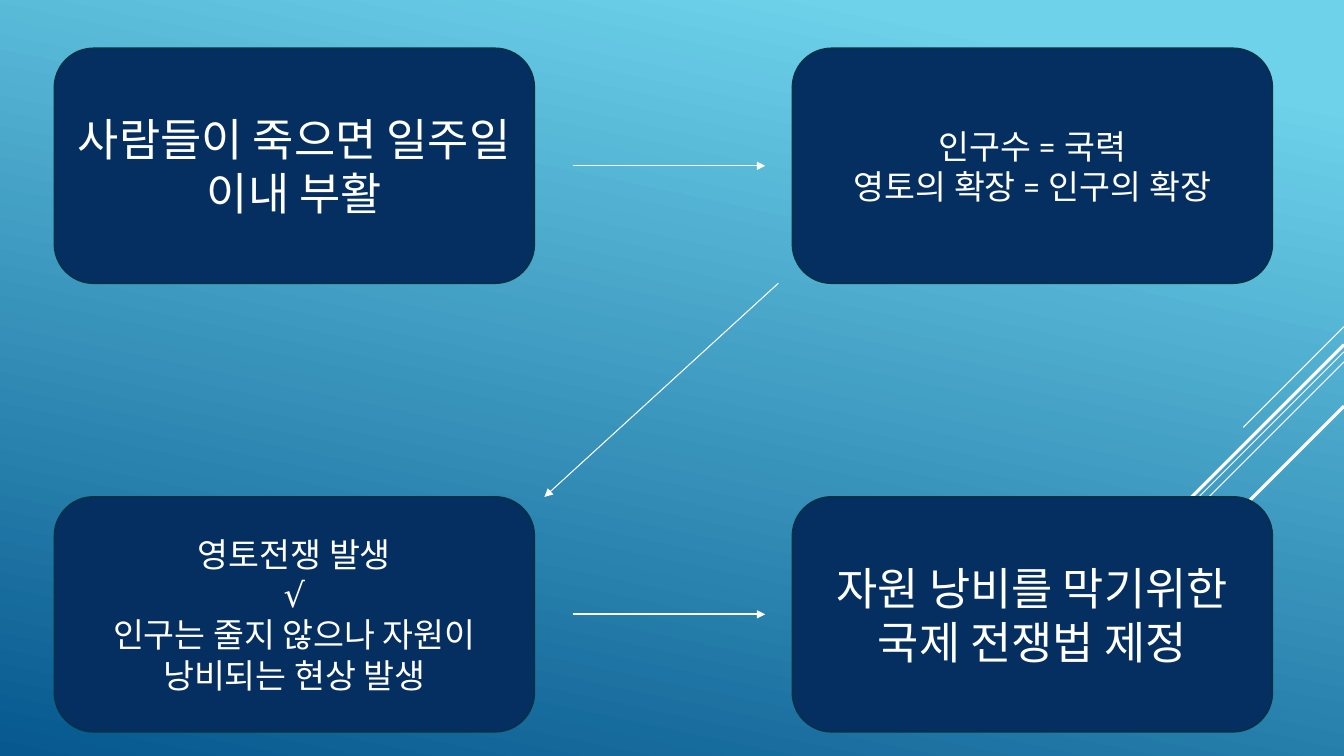
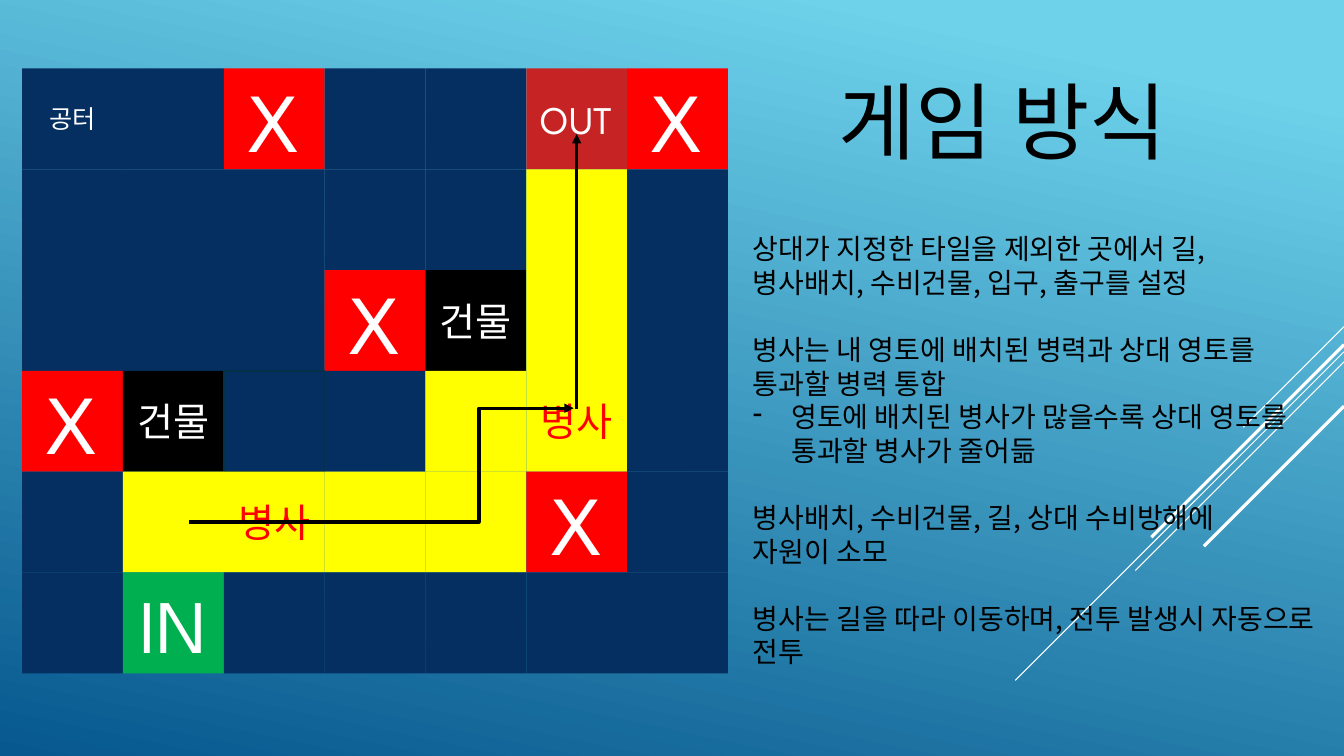
from lxml.etree import SubElement
from pptx import Presentation
from pptx.dml.color import RGBColor
from pptx.enum.shapes import MSO_CONNECTOR as Link, MSO_SHAPE as Shape
from pptx.enum.text import MSO_ANCHOR as Anchor, PP_ALIGN as Align
from pptx.oxml.ns import qn
from pptx.util import Inches, Pt

NAVY, EDGE, WHITE, BLACK = "052F61", "043148", "FFFFFF", "000000"
RED, YELLOW = "FF0000", "FFFF00"
DISPLAY, KOREAN = "League Spartan", "Noto Sans CJK KR"

TILES = {
    ".": (NAVY, None, 18, WHITE),
    "e": (NAVY, "공터", 18, WHITE),
    "x": (RED, "X", 60, WHITE),
    "b": (BLACK, "건물", 28, WHITE),
    "r": (YELLOW, None, 18, WHITE),
    "s": (YELLOW, "병사", 28, RED),
    "o": ("C62324", "OUT", 28, WHITE),
    "i": ("00B050", "IN", 54, WHITE),
}
BOARD = ["e.x..ox", ".....r.", "...xbr.", "xb..rs.", ".rsrrx.", ".i....."]
OUTLINED_TILE = (3, 2)

CARDS = [
    (32, ["사람들이 죽으면 일주일 이내 부활"]),
    (24, ["인구수 = 국력", "영토의 확장 = 인구의 확장"]),
    (24, ["영토전쟁 발생", "√", "인구는 줄지 않으나 자원이 낭비되는 현상 발생"]),
    (32, ["자원 낭비를 막기위한", "국제 전쟁법 제정"]),
]

RULES = [
    ("상대가 지정한 타일을 제외한 곳에서 길,", ""),
    ("병사배치, 수비건물, 입구, 출구를 설정", ""),
    ("병사는 내 영토에 배치된 병력과 상대 영토를 통과할 병력 통합", "gap"),
    ("영토에 배치된 병사가 많을수록 상대 영토를 통과할 병사가 줄어듦", "dash"),
    ("병사배치, 수비건물, 길, 상대 수비방해에", "gap"),
    ("자원이 소모", ""),
    ("병사는 길을 따라 이동하며, 전투 발생시 자동으로 전투", "gap"),
]


def color(value):
    return RGBColor.from_string(value)


def write(para, text, size, ink, font=DISPLAY, **layout):
    for name, value in layout.items():
        setattr(para, name, value)
    span = para.add_run()
    span.text = text
    for name, value in {"name": font, "size": Pt(size)}.items():
        setattr(span.font, name, value)
    span.font.color.rgb = color(ink)
    SubElement(span.font._element, qn("a:ea"), typeface=KOREAN)


def paragraphs(frame, count):
    return [frame.paragraphs[0]] + [frame.add_paragraph() for _ in range(count - 1)]


def block(page, kind, box, fill, edge=None):
    shape = page.shapes.add_shape(kind, *map(Inches, box))
    shape.shadow.inherit = False
    shape.fill.solid()
    shape.fill.fore_color.rgb = color(fill)
    if edge:
        shape.line.color.rgb = color(edge)
        shape.line.width = Pt(1.25)
    else:
        shape.line.fill.background()
    return shape.text_frame


def text_box(page, box):
    frame = page.shapes.add_textbox(*map(Inches, box)).text_frame
    frame.word_wrap = True
    frame.vertical_anchor = Anchor.MIDDLE
    return frame


def line(page, start, end, ink, width, arrow=False, kind=Link.STRAIGHT):
    link = page.shapes.add_connector(kind, *map(Inches, start + end))
    link.line.color.rgb = color(ink)
    link.line.width = Pt(width)
    properties = link._element.spPr
    if arrow:
        SubElement(properties.find(qn("a:ln")), qn("a:tailEnd"), type="triangle")
    SubElement(properties, qn("a:effectLst"))
    return link


def paint_background(master):
    fill = master.background.fill
    fill.gradient()
    fill.gradient_angle = 360 - 102
    for stop, (position, value) in zip(fill.gradient_stops, [(0.1, "6ED2EB"), (1, "06588E")]):
        stop.position = position
        stop.color.rgb = color(value)


def new_page(deck):
    page = deck.slides.add_slide(deck.slide_layouts[6])
    right = 13.33
    for top, reach, width in [(3.24, 1, 0.75), (3.49, 3.26, 0.75), (3.59, 2.07, 0.75),
                              (3.42, 1.91, 2.25), (4.03, 1.39, 2.25)]:
        line(page, (right, top), (right - reach, top + reach), WHITE, width)
    return page


def card_flow(page, box):
    left, top, width, height = box
    card_width, card_height = 4.76, 2.33
    far_left, low_top = left + width - card_width, top + height - card_height
    corners = [(x, y) for y in (top, low_top) for x in (left, far_left)]
    for corner, (size, texts) in zip(corners, CARDS):
        frame = block(page, Shape.ROUNDED_RECTANGLE, (*corner, card_width, card_height), NAVY, EDGE)
        for para, text in zip(paragraphs(frame, len(texts)), texts):
            write(para, text, size, WHITE, alignment=Align.CENTER, line_spacing=Pt(size * 1.2))
    near_right = left + card_width
    for y, weight in [(top, 0.75), (low_top, 1.25)]:
        middle = y + card_height / 2
        line(page, (near_right + 0.38, middle), (far_left - 0.27, middle), WHITE, weight, True)
    line(page, (far_left - 0.14, top + card_height), (near_right + 0.1, low_top), WHITE, 0.75, True)


def game_board(page, box):
    left, top, width, height = box
    side = width / len(BOARD[0])
    for row, codes in enumerate(BOARD):
        for column, code in enumerate(codes):
            fill, text, size, ink = TILES[code]
            edge = EDGE if (row, column) == OUTLINED_TILE else None
            place = (left + column * side, top + row * side, side, side)
            frame = block(page, Shape.RECTANGLE, place, fill, edge)
            if text:
                write(frame.paragraphs[0], text, size, ink, alignment=Align.CENTER)
    route = line(page, (left + 1.65, top + 4.5), (left + 5.47, top + 3.37),
                 BLACK, 2.25, True, Link.ELBOW)
    guides = route._element.spPr.find(qn("a:prstGeom")).get_or_add_avLst()
    SubElement(guides, qn("a:gd"), name="adj1", fmla="val 75400")
    line(page, (left + 5.5, top + 3.38), (left + 5.5, top + 0.65), BLACK, 2.25, True)


def rule_list(page, box):
    frame = text_box(page, box)
    for para, (text, style) in zip(paragraphs(frame, len(RULES)), RULES):
        write(para, text, 20, BLACK, KOREAN, line_spacing=Pt(24),
              space_before=Pt(24 if style == "gap" else 0))
        if style == "dash":
            properties = para._p.get_or_add_pPr()
            properties.set("marL", str(Inches(0.38)))
            properties.set("indent", str(-Inches(0.38)))
            SubElement(properties, qn("a:buChar"), char="-")


def title(page, box, text):
    write(text_box(page, box).paragraphs[0], text, 60, BLACK)


def story_page(deck):
    page = new_page(deck)
    card_flow(page, (0.54, 0.48, 12.08, 6.78))


def rules_page(deck):
    page = new_page(deck)
    game_board(page, (0.22, 0.68, 7, 6))
    rule_list(page, (7.37, 2.18, 5.83, 4.57))
    title(page, (8.22, 0.86, 3.97, 0.65), "게임 방식")


deck = Presentation()
deck.slide_width, deck.slide_height = Inches(13.33), Inches(7.5)
paint_background(deck.slide_master)
story_page(deck)
rules_page(deck)
deck.save("out.pptx")
